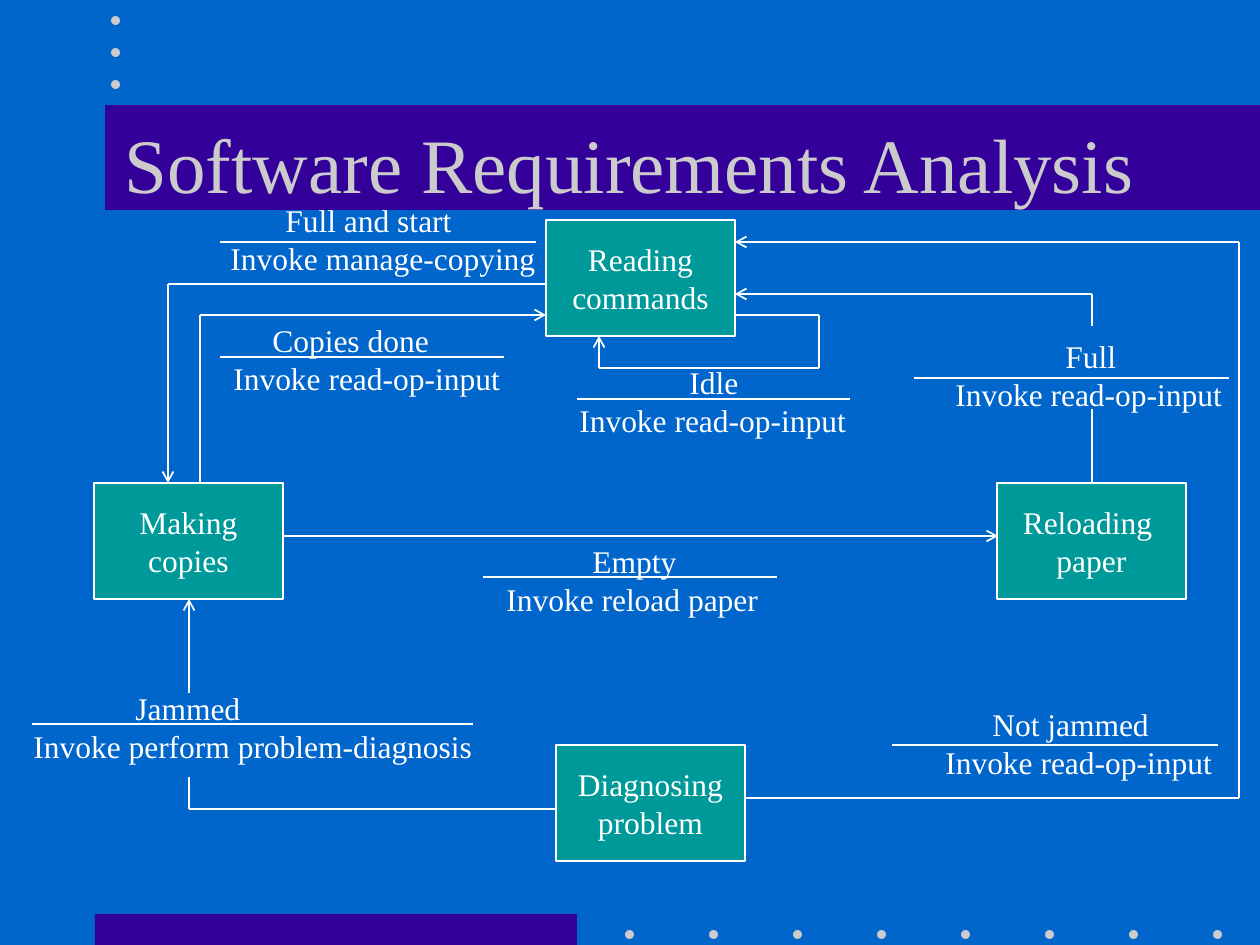
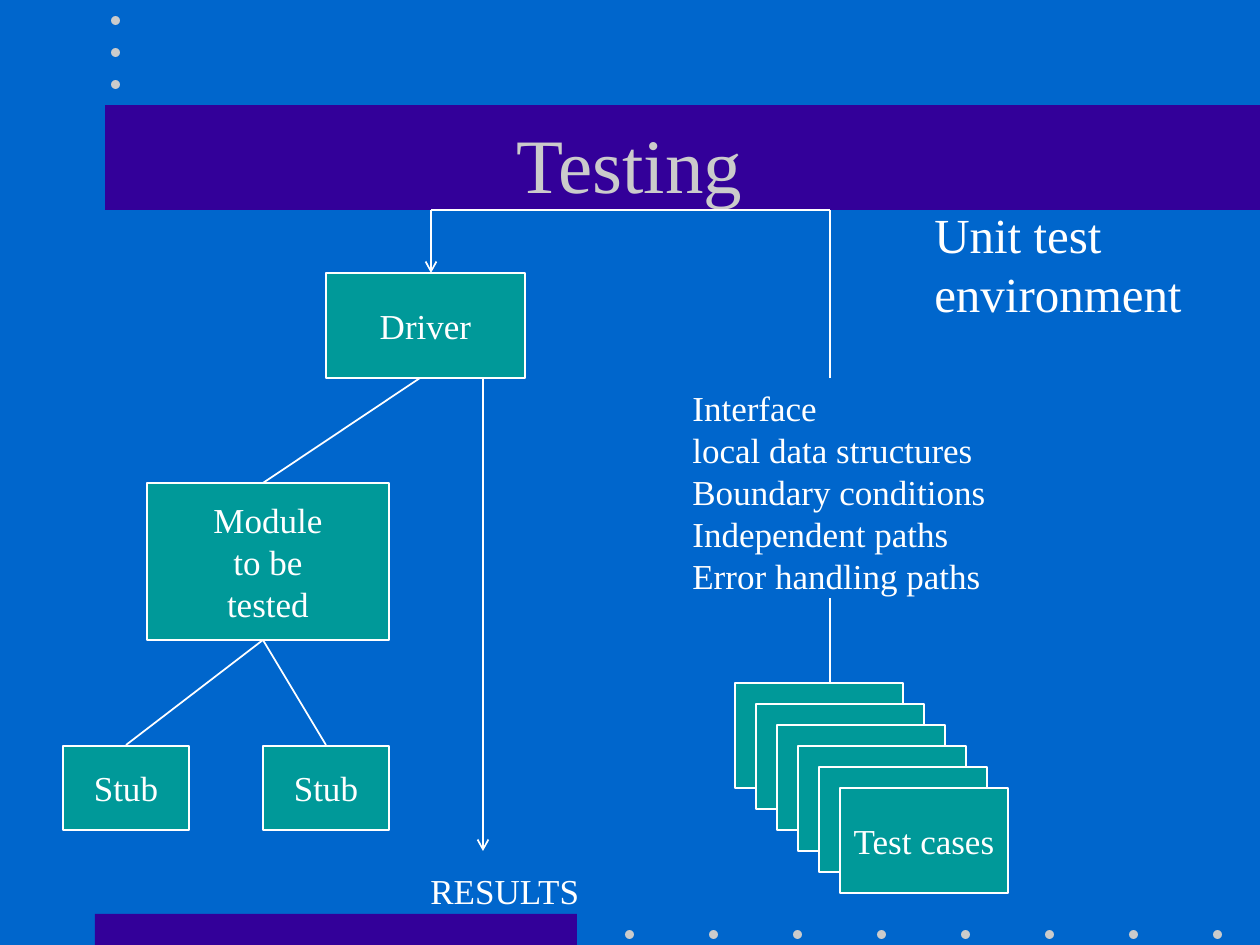
from itertools import pairwise
from lxml.etree import SubElement
from pptx import Presentation
from pptx.dml.color import RGBColor
from pptx.enum.shapes import MSO_CONNECTOR, MSO_SHAPE
from pptx.enum.text import MSO_ANCHOR, MSO_AUTO_SIZE, PP_ALIGN
from pptx.oxml.ns import qn
from pptx.util import Emu, Pt

COLORS = {"back": "0066CC", "band": "330099", "dot": "CBCBCB", "box": "009999", "ink": "FFFFFF"}
FONT = "Times New Roman"
TITLE_AREA = (94, 84, 1071, 158)
BANDS = [(95, 914, 482, 31), (105, 105, 1155, 105)]
DOT = 9
DOTS = [(625 + 84 * i, 930) for i in range(8)] + [(111, 16 + 32 * i) for i in range(3)]

STATE_SIZE = (189, 116)
STATES = [
    (546, 220, ["Reading", "commands"]),
    (997, 483, ["Reloading ", "paper"]),
    (94, 483, ["Making", "copies"]),
    (556, 745, ["Diagnosing", "problem"]),
]
TRANSITIONS = [
    ("arrow", [(284, 536), (998, 536)]),
    ("arrow", [(746, 798), (1239, 798), (1239, 242), (735, 242)]),
    ("plain", [(1092, 483), (1092, 409)]),
    ("arrow", [(1092, 326), (1092, 294), (735, 294)]),
    ("arrow", [(546, 284), (168, 284), (168, 483)]),
    ("arrow", [(200, 483), (200, 315), (546, 315)]),
    ("plain", [(557, 809), (189, 809), (189, 777)]),
    ("arrow", [(189, 693), (189, 599)]),
    ("arrow", [(735, 315), (819, 315), (819, 368), (599, 368), (599, 336)]),
]
LABEL_HEIGHT = 88
LABELS = [
    {"at": (933, 699, 300), "indent": 47, "rule": (892, 1218, 745),
     "text": ["Not jammed", "Invoke read-op-input"]},
    {"at": (943, 331, 300), "indent": 110, "rule": (914, 1229, 378),
     "text": ["Full", "Invoke read-op-input"]},
    {"at": (494, 536, 286), "indent": 86, "rule": (483, 777, 577),
     "text": ["Empty", "Invoke reload paper"]},
    {"at": (221, 315, 300), "indent": 39, "rule": (220, 504, 357),
     "text": ["Copies done", "Invoke read-op-input"]},
    {"at": (218, 195, 339), "indent": 55, "rule": (220, 536, 242),
     "text": ["Full and start", "Invoke manage-copying"]},
    {"at": (21, 683, 473), "indent": 102, "rule": (32, 473, 724),
     "text": ["Jammed", "Invoke perform problem-diagnosis"]},
    {"at": (567, 357, 300), "indent": 110, "rule": (577, 850, 399),
     "text": ["Idle", "Invoke read-op-input"]},
]

UNITS = [
    ((326, 273, 199, 105), ["Driver"]),
    ((147, 483, 242, 157), ["Module", "to be", "tested"]),
    ((63, 746, 126, 84), ["Stub"]),
    ((263, 746, 126, 84), ["Stub"]),
]
CASE_COUNT, CASE_STEP = 6, 21
CASE_AREA = (735, 683, 168, 105)
CASE_TEXT = ["Test cases"]
NOTES = [
    ((680, 380, 327, 223), 20, ["Interface", "local data structures", "Boundary conditions",
                                "Independent paths", "Error handling paths"]),
    ((922, 198, 290, 131), 28, ["Unit test", "environment"]),
    ((418, 863, 185, 55), 20, ["RESULTS"]),
]
FLOWS = [
    ("arrow", [(830, 378), (830, 210), (431, 210), (431, 273)]),
    ("plain", [(830, 598), (830, 683)]),
    ("plain", [(420, 378), (263, 483)]),
    ("plain", [(126, 745), (263, 640), (326, 745)]),
    ("arrow", [(483, 378), (483, 851)]),
]


def px(n):
    return Emu(round(n * 914400 / 126))


def rgb(name):
    return RGBColor.from_string(COLORS[name])


def write(tf, lines, size, color="ink", align=PP_ALIGN.LEFT, indent=0):
    for i, line in enumerate(lines):
        p = tf.paragraphs[0] if i == 0 else tf.add_paragraph()
        p.alignment = align
        if indent and i == 0:
            p._p.get_or_add_pPr().set("indent", str(px(indent)))
        r = p.add_run()
        r.text = line
        for key, value in {"size": Pt(size), "name": FONT}.items():
            setattr(r.font, key, value)
        r.font.color.rgb = rgb(color)


def add_block(s, area, fill, kind=MSO_SHAPE.RECTANGLE):
    sp = s.shapes.add_shape(kind, *map(px, area))
    sp.shadow.inherit = False
    sp.fill.solid()
    sp.fill.fore_color.rgb = rgb(fill)
    sp.line.fill.background()
    return sp


def add_box(s, area, lines, size):
    sp = add_block(s, area, "box")
    sp.line.color.rgb = rgb("ink")
    sp.line.width = Pt(1)
    tf = sp.text_frame
    for key, value in {"word_wrap": False, "vertical_anchor": MSO_ANCHOR.MIDDLE}.items():
        setattr(tf, key, value)
    write(tf, lines, size, align=PP_ALIGN.CENTER)


def add_text(s, area, lines, size, indent=0):
    tf = s.shapes.add_textbox(*map(px, area)).text_frame
    for key, value in {"word_wrap": True, "auto_size": MSO_AUTO_SIZE.NONE}.items():
        setattr(tf, key, value)
    write(tf, lines, size, indent=indent)


def add_route(s, end, points):
    for start, stop in pairwise(points):
        cx = s.shapes.add_connector(MSO_CONNECTOR.STRAIGHT, *map(px, start + stop))
        cx.line.color.rgb = rgb("ink")
        cx.line.width = Pt(1)
        if end == "arrow" and stop == points[-1]:
            SubElement(cx.line._get_or_add_ln(), qn("a:tailEnd"), type="arrow")
        SubElement(cx._element.spPr, qn("a:effectLst"))


def add_slide(prs, title):
    s = prs.slides.add_slide(prs.slide_layouts[5])
    sp = s.shapes.title
    for key, value in zip(("left", "top", "width", "height"), TITLE_AREA):
        setattr(sp, key, px(value))
    tf = sp.text_frame
    for key, value in {"word_wrap": True, "auto_size": MSO_AUTO_SIZE.NONE,
                       "vertical_anchor": MSO_ANCHOR.MIDDLE}.items():
        setattr(tf, key, value)
    write(tf, [title], 44, "dot", PP_ALIGN.CENTER)
    return s


def decorate_master(prs, s):
    master = prs.slide_master
    master.background.fill.solid()
    master.background.fill.fore_color.rgb = rgb("back")
    parts = [add_block(s, area, "band") for area in BANDS]
    parts += [add_block(s, (x, y, DOT, DOT), "dot", MSO_SHAPE.OVAL) for x, y in DOTS]
    for i, sp in enumerate(parts):
        sp._element.nvSpPr.cNvPr.set("id", str(100 + i))
        master.shapes.element.insert(2 + i, sp._element)


def build_states(s):
    for x, y, lines in STATES:
        add_box(s, (x, y, *STATE_SIZE), lines, 18)
    for end, points in TRANSITIONS:
        add_route(s, end, points)
    for label in LABELS:
        add_text(s, (*label["at"], LABEL_HEIGHT), label["text"], 18, label["indent"])
        left, right, y = label["rule"]
        add_route(s, "plain", [(left, y), (right, y)])


def build_testing(s):
    for area, lines in UNITS:
        add_box(s, area, lines, 20)
    x, y, w, h = CASE_AREA
    for i in range(CASE_COUNT):
        lines = CASE_TEXT if i == CASE_COUNT - 1 else []
        add_box(s, (x + i * CASE_STEP, y + i * CASE_STEP, w, h), lines, 20)
    for area, size, lines in NOTES:
        add_text(s, area, lines, size)
    for end, points in FLOWS:
        add_route(s, end, points)


def main():
    prs = Presentation()
    prs.slide_width, prs.slide_height = px(1260), px(945)
    s = add_slide(prs, "Software Requirements Analysis")
    decorate_master(prs, s)
    build_states(s)
    build_testing(add_slide(prs, "Testing"))
    prs.save("out.pptx")


if __name__ == "__main__":
    main()
